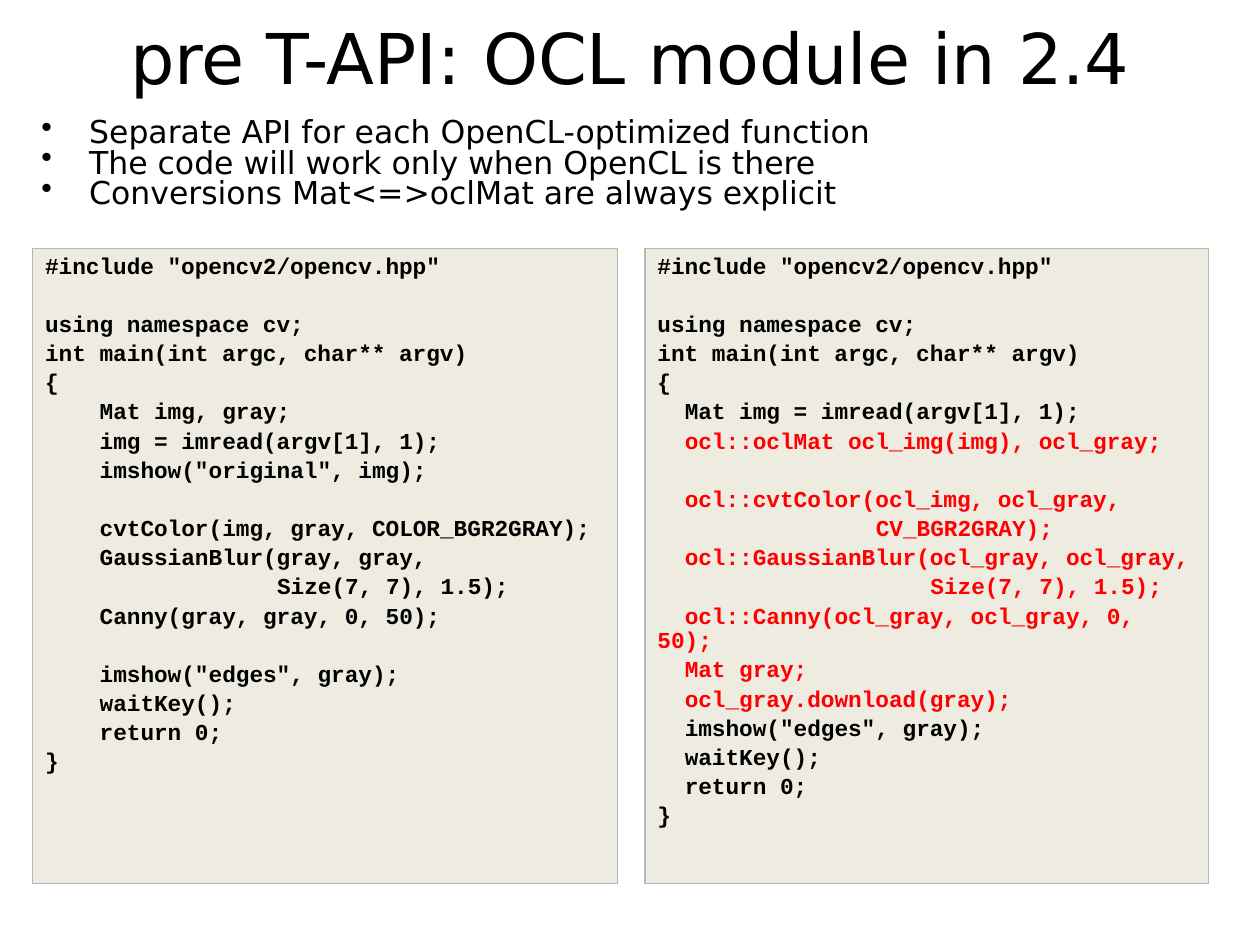
from lxml import etree
from pptx import Presentation
from pptx.dml.color import RGBColor
from pptx.enum import shapes, text
from pptx.oxml.ns import qn
from pptx.util import Inches, Pt

COLORS = {"ink": "000000", "ocl": "FF0000", "panel": "EEECE1", "border": "B7B7B7"}
SANS, MONO = "DejaVu Sans", "Courier New"
CODE_SIZE = 13
CHAR_WIDTH = CODE_SIZE * 0.6
LINE_GAP = 2.6
EMPTY_LINE = 16.67

BULLETS = [
    "Separate API for each OpenCL-optimized function",
    "The code will work only when OpenCL is there",
    "Conversions Mat<=>oclMat are always explicit",
]

# Code lines: (indent in characters, code, color, empty lines before)
OPENING = [
    (0, '#include "opencv2/opencv.hpp"', "ink", 0),
    (0, "using namespace cv;", "ink", 1),
    (0, "int main(int argc, char** argv)", "ink", 0),
    (0, "{", "ink", 0),
]
CPU_CODE = OPENING + [
    (4, "Mat img, gray;", "ink", 0),
    (4, "img = imread(argv[1], 1);", "ink", 0),
    (4, 'imshow("original", img);', "ink", 0),
    (4, "cvtColor(img, gray, COLOR_BGR2GRAY);", "ink", 1),
    (4, "GaussianBlur(gray, gray,", "ink", 0),
    (17, "Size(7, 7), 1.5);", "ink", 0),
    (4, "Canny(gray, gray, 0, 50);", "ink", 0),
    (4, 'imshow("edges", gray);', "ink", 1),
    (4, "waitKey();", "ink", 0),
    (4, "return 0;", "ink", 0),
    (0, "}", "ink", 0),
]
OCL_CODE = OPENING + [
    (2, "Mat img = imread(argv[1], 1);", "ink", 0),
    (2, "ocl::oclMat ocl_img(img), ocl_gray;", "ocl", 0),
    (2, "ocl::cvtColor(ocl_img, ocl_gray,", "ocl", 1),
    (16, "CV_BGR2GRAY);", "ocl", 0),
    (2, "ocl::GaussianBlur(ocl_gray, ocl_gray,", "ocl", 0),
    (20, "Size(7, 7), 1.5);", "ocl", 0),
    (2, "ocl::Canny(ocl_gray, ocl_gray, 0, 50);", "ocl", 0),
    (2, "Mat gray;", "ocl", 0),
    (2, "ocl_gray.download(gray);", "ocl", 0),
    (2, 'imshow("edges", gray);', "ink", 0),
    (2, "waitKey();", "ink", 0),
    (2, "return 0;", "ink", 0),
    (0, "}", "ink", 0),
]


def rgb(name):
    return RGBColor.from_string(COLORS[name])


def apply(target, **values):
    for name, value in values.items():
        setattr(target, name, value)


def set_frame(shape, inset_x, inset_y, anchor=text.MSO_ANCHOR.TOP):
    frame = shape.text_frame
    apply(frame, word_wrap=True, vertical_anchor=anchor,
          margin_left=Inches(inset_x), margin_right=Inches(inset_x),
          margin_top=Inches(inset_y), margin_bottom=Inches(inset_y))
    return frame


def add_line(frame, index, content, font, size, color="ink", bold=False, **spacing):
    line = frame.paragraphs[0] if index == 0 else frame.add_paragraph()
    apply(line, **{"alignment": text.PP_ALIGN.LEFT, **spacing})
    run = line.add_run()
    run.text = content
    apply(run.font, name=font, size=Pt(size), bold=bold)
    run.font.color.rgb = rgb(color)
    return line


def set_indent(line, left, first):
    props = line._p.get_or_add_pPr()
    props.set("marL", str(int(left)))
    props.set("indent", str(int(first)))
    return props


def add_title(slide, content):
    title = slide.shapes.add_textbox(Inches(0.5), 0, Inches(9), Inches(0.89))
    frame = set_frame(title, 0.09, 0.04, text.MSO_ANCHOR.MIDDLE)
    add_line(frame, 0, content, SANS, 40, alignment=text.PP_ALIGN.CENTER)


def add_bullets(slide, points):
    box = slide.shapes.add_textbox(Inches(0.11), Inches(0.85), Inches(9.6), Inches(1.01))
    frame = set_frame(box, 0.1, 0.1)
    for index, point in enumerate(points):
        line = add_line(frame, index, point, SANS, 18, line_spacing=0.8)
        props = set_indent(line, Inches(0.5), Inches(-0.38))
        bullet_color = etree.SubElement(props, qn("a:buClr"))
        etree.SubElement(bullet_color, qn("a:srgbClr")).set("val", COLORS["ink"])
        etree.SubElement(props, qn("a:buChar")).set("char", "•")


def add_code_panel(slide, left, width, code):
    panel = slide.shapes.add_shape(shapes.MSO_SHAPE.RECTANGLE, Inches(left),
                                   Inches(1.97), Inches(width), Inches(5.04))
    panel.shadow.inherit = False
    panel.fill.solid()
    panel.fill.fore_color.rgb = rgb("panel")
    panel.line.color.rgb = rgb("border")
    panel.line.width = Pt(0.75)
    frame = set_frame(panel, 0.1, 0.05)
    for index, (indent, content, color, empty) in enumerate(code):
        before = LINE_GAP + empty * EMPTY_LINE if index else 0
        line = add_line(frame, index, content, MONO, CODE_SIZE, color, True,
                        line_spacing=0.9, space_before=Pt(before))
        # Only the first line is indented, so wrapped code returns to the margin
        set_indent(line, 0, Pt(indent * CHAR_WIDTH))


def main():
    deck = Presentation()
    apply(deck, slide_width=Inches(10), slide_height=Inches(7.5))
    slide = deck.slides.add_slide(deck.slide_layouts[6])

    # Heading and key points
    add_title(slide, "pre T-API: OCL module in 2.4")
    add_bullets(slide, BULLETS)

    # Plain code beside its OpenCL version
    add_code_panel(slide, 0.26, 4.64, CPU_CODE)
    add_code_panel(slide, 5.12, 4.47, OCL_CODE)

    deck.save("out.pptx")


main()
